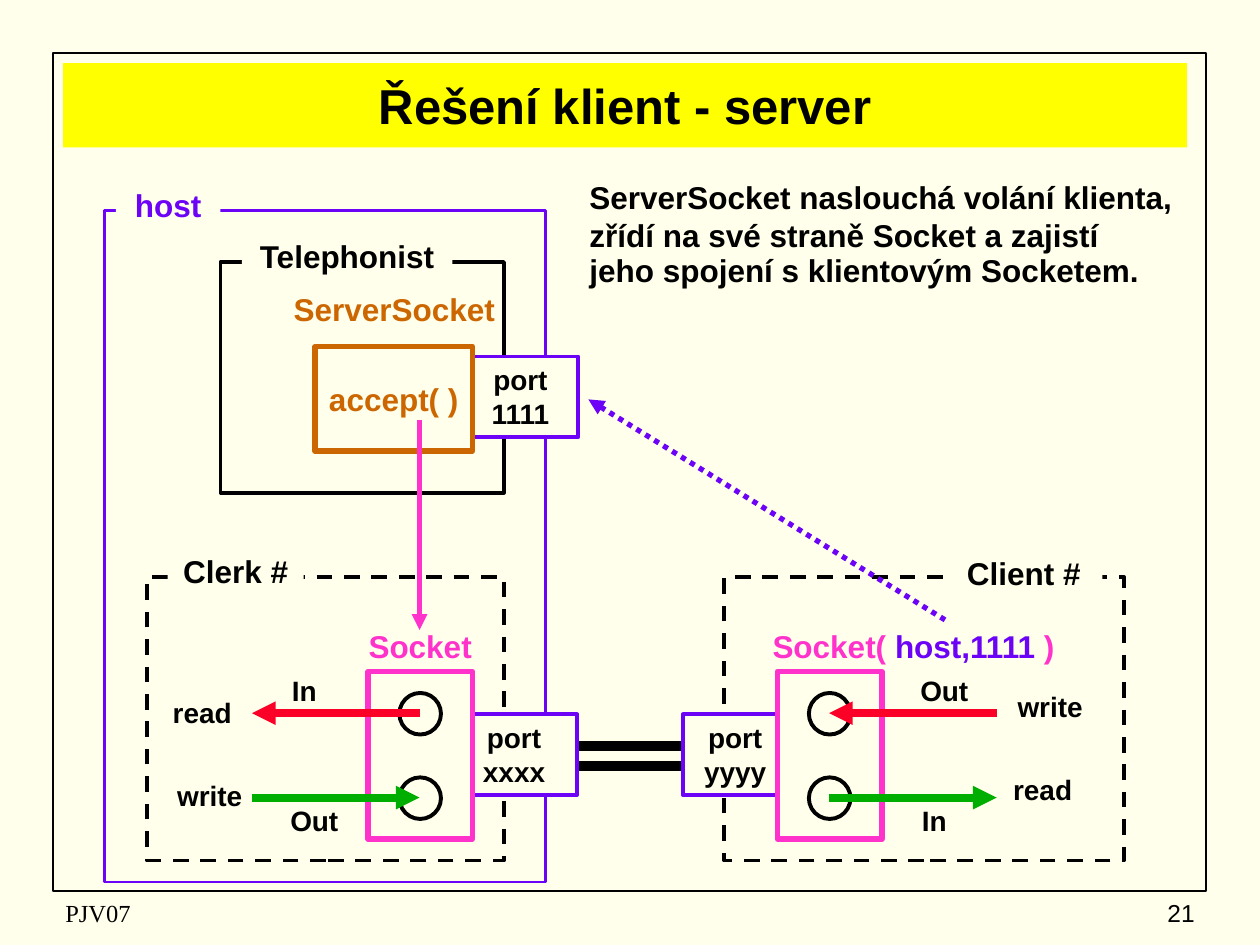
import pptx
import pptx.util
from lxml import etree
from pptx.dml.color import RGBColor
from pptx.enum.dml import MSO_LINE
from pptx.enum.shapes import MSO_CONNECTOR, MSO_SHAPE
from pptx.enum.text import MSO_ANCHOR, PP_ALIGN
from pptx.oxml.ns import qn
from pptx.util import Inches

CREAM = RGBColor(0xFF, 0xFF, 0xEB)
YELLOW = RGBColor(0xFF, 0xFF, 0x00)
BLACK = RGBColor(0x00, 0x00, 0x00)
VIOLET = RGBColor(0x6C, 0x03, 0xF7)
PINK = RGBColor(0xFF, 0x33, 0xCC)
BROWN = RGBColor(0xCC, 0x66, 0x00)
RED = RGBColor(0xFC, 0x01, 0x28)
GREEN = RGBColor(0x00, 0xAE, 0x00)


def write_text(shape, *paragraphs, size=18, color=BLACK, bold=True, font="Arial",
               align=PP_ALIGN.CENTER, anchor=MSO_ANCHOR.TOP, line_spacing=None,
               gaps=(), wrap=True):
    """Fill a shape; a paragraph is a string or a list of (text, color) runs."""
    frame = shape.text_frame
    frame.word_wrap = wrap
    frame.vertical_anchor = anchor
    frame.margin_left = frame.margin_right = Inches(0.1)
    frame.margin_top = frame.margin_bottom = Inches(0.05)
    for index, content in enumerate(paragraphs):
        paragraph = frame.add_paragraph() if index else frame.paragraphs[0]
        paragraph.alignment = align
        paragraph.space_before = pptx.util.Pt(gaps[index] if gaps else 0)
        if line_spacing:
            paragraph.line_spacing = line_spacing
        runs = [(content, color)] if isinstance(content, str) else content
        for text, run_color in runs:
            run = paragraph.add_run()
            run.text = text
            run.font.name = font
            run.font.size = pptx.util.Pt(size)
            run.font.bold = bold
            run.font.color.rgb = run_color


def add_box(slide, left, top, width, height, line, weight, fill=None, dash=None,
            kind=MSO_SHAPE.RECTANGLE):
    shape = slide.shapes.add_shape(kind, Inches(left), Inches(top),
                                   Inches(width), Inches(height))
    shape.shadow.inherit = False
    if fill is None:
        shape.fill.background()
    else:
        shape.fill.solid()
        shape.fill.fore_color.rgb = fill
    shape.line.color.rgb = line
    shape.line.width = pptx.util.Pt(weight)
    if dash:
        shape.line.dash_style = dash
    return shape


def add_label(slide, left, top, width, height, *paragraphs, fill=None, **text_format):
    label = slide.shapes.add_textbox(Inches(left), Inches(top),
                                     Inches(width), Inches(height))
    if fill is not None:
        label.fill.solid()
        label.fill.fore_color.rgb = fill
    write_text(label, *paragraphs, **text_format)


def add_line(slide, start, end, color, weight, arrow=True, dash=None):
    connector = slide.shapes.add_connector(
        MSO_CONNECTOR.STRAIGHT, *(Inches(length) for length in (*start, *end)))
    connector.line.color.rgb = color
    connector.line.width = pptx.util.Pt(weight)
    if dash:
        connector.line.dash_style = dash
    properties = connector.element.spPr
    if arrow:
        etree.SubElement(properties.find(qn("a:ln")), qn("a:tailEnd"), type="triangle")
    etree.SubElement(properties, qn("a:effectLst"))


def add_title(slide, left, top, width, height, text):
    title = slide.shapes.title
    title.left, title.top = Inches(left), Inches(top)
    title.width, title.height = Inches(width), Inches(height)
    title.fill.solid()
    title.fill.fore_color.rgb = YELLOW
    write_text(title, text, size=28, anchor=MSO_ANCHOR.MIDDLE)


def add_page_frame(slide, left, top, width, height):
    add_box(slide, left, top, width, height, BLACK, 1)
    footer_top = top + height + 0.01
    add_label(slide, left, footer_top, 3.17, 0.33, "PJV07", size=14, bold=False,
              font="Times New Roman", align=PP_ALIGN.LEFT, anchor=MSO_ANCHOR.MIDDLE)
    add_label(slide, left + width - 2.07, footer_top, 2.08, 0.33, "21", size=14,
              bold=False, align=PP_ALIGN.RIGHT, anchor=MSO_ANCHOR.MIDDLE)


def add_port(slide, left, top, width, number):
    port = add_box(slide, left, top, width, 0.64, VIOLET, 2.25, CREAM)
    write_text(port, "port", number, size=16)


def add_socket(slide, left, top, side, incoming, outgoing):
    """Draw a socket with its two streams; side is -1 for left, 1 for right."""
    add_box(slide, left, top, 0.83, 1.33, PINK, 3, CREAM)
    center = left + 0.41
    for row, color, inward in ((0.33, RED, incoming), (1, GREEN, outgoing)):
        y = top + row
        add_box(slide, center - 0.16, y - 0.16, 0.33, 0.33, BLACK, 2.25, CREAM,
                kind=MSO_SHAPE.OVAL)
        ends = [(center, y), (center + side * 1.33, y)]
        add_line(slide, *(reversed(ends) if inward else ends), color, 4.5)


def add_stream_labels(slide, left, top, stream_lefts, streams, verb_left, verbs):
    """Label the upper and lower stream, and the verbs beside them."""
    for row, stream in enumerate(streams):
        add_label(slide, left + stream_lefts[row], top - 0.03 + 1.03 * row,
                  0.83, 0.37, stream, size=16)
    for row, verb in enumerate(verbs):
        shift = 0.06 if verb == "read" else 0
        add_label(slide, left + verb_left[0] - shift, top + verb_left[1] + 0.66 * row,
                  0.83, 0.37, verb, size=16)


def add_clerk(slide, left, top):
    add_port(slide, left + 2.41, top + 1.09, 1, "xxxx")
    add_socket(slide, left + 1.75, top + 0.75, -1, False, True)
    add_stream_labels(slide, left, top + 0.75, (0.83, 0.91), ("In", "Out"),
                      (0.08, 0.14), ("read", "write"))
    add_label(slide, left + 1.5, top + 0.35, 1.33, 0.4, "Socket", color=PINK)
    add_label(slide, left + 0.16, top - 0.25, 1.08, 0.4, "Clerk #", fill=CREAM)


def add_client(slide, left, top):
    add_port(slide, left - 0.33, top + 1.09, 0.83, "yyyy")
    add_socket(slide, left + 0.42, top + 0.75, 1, True, False)
    add_stream_labels(slide, left, top + 0.75, (1.33, 1.25), ("Out", "In"),
                      (2.17, 0.09), ("write", "read"))
    add_label(slide, left + 0.25, top + 0.35, 2.5, 0.4,
              [("Socket( ", PINK), ("host,1111 ", VIOLET), (")", PINK)])
    add_label(slide, left + 1.75, top - 0.23, 1.25, 0.4, "Client #", fill=CREAM)


def add_telephonist(slide, left, top, width, height):
    add_box(slide, left, top, width, height, BLACK, 2.25)
    add_label(slide, left + 0.42, top + 0.17, 1.92, 0.4, "ServerSocket", color=BROWN)
    add_label(slide, left + 0.17, top - 0.25, 1.67, 0.4, "Telephonist", fill=CREAM)
    add_port(slide, left + 1.92, top + 0.75, 0.92, "1111")
    accept = add_box(slide, left + 0.75, top + 0.67, 1.25, 0.83, BROWN, 3, CREAM)
    write_text(accept, "accept( )", color=BROWN, anchor=MSO_ANCHOR.MIDDLE, wrap=False)


def main():
    presentation = pptx.Presentation()
    presentation.slide_width, presentation.slide_height = Inches(10), Inches(7.5)
    slide = presentation.slides.add_slide(presentation.slide_layouts[5])
    slide.background.fill.solid()
    slide.background.fill.fore_color.rgb = CREAM

    add_page_frame(slide, 0.42, 0.42, 9.15, 6.65)
    add_title(slide, 0.5, 0.5, 8.92, 0.67, "Řešení klient - server")
    add_label(slide, 4.58, 1.42, 4.83, 1,
              "ServerSocket naslouchá volání klienta,",
              "zřídí na své straně Socket a zajistí",
              "jeho spojení s klientovým Socketem.",
              align=PP_ALIGN.LEFT, line_spacing=0.8, gaps=(0, 4.5, 3))

    add_box(slide, 0.83, 1.67, 3.5, 5.33, VIOLET, 1.5, CREAM)
    add_box(slide, 5.75, 4.58, 3.17, 2.25, BLACK, 2.25, dash=MSO_LINE.DASH)
    add_box(slide, 1.17, 4.58, 2.83, 2.25, BLACK, 2.25, dash=MSO_LINE.DASH)
    for wire_y in (5.92, 6.08):
        add_line(slide, (4.17, wire_y), (5.5, wire_y), BLACK, 6, arrow=False)
    add_clerk(slide, 1.17, 4.58)
    add_client(slide, 5.75, 4.58)
    add_telephonist(slide, 1.75, 2.08, 2.25, 1.83)
    add_line(slide, (3.33, 3.33), (3.33, 5), PINK, 3)
    add_line(slide, (7.5, 4.92), (4.67, 3.17), VIOLET, 3, dash=MSO_LINE.ROUND_DOT)
    add_label(slide, 0.92, 1.43, 0.83, 0.4, "host", color=VIOLET, fill=CREAM)

    presentation.save("out.pptx")


if __name__ == "__main__":
    main()
